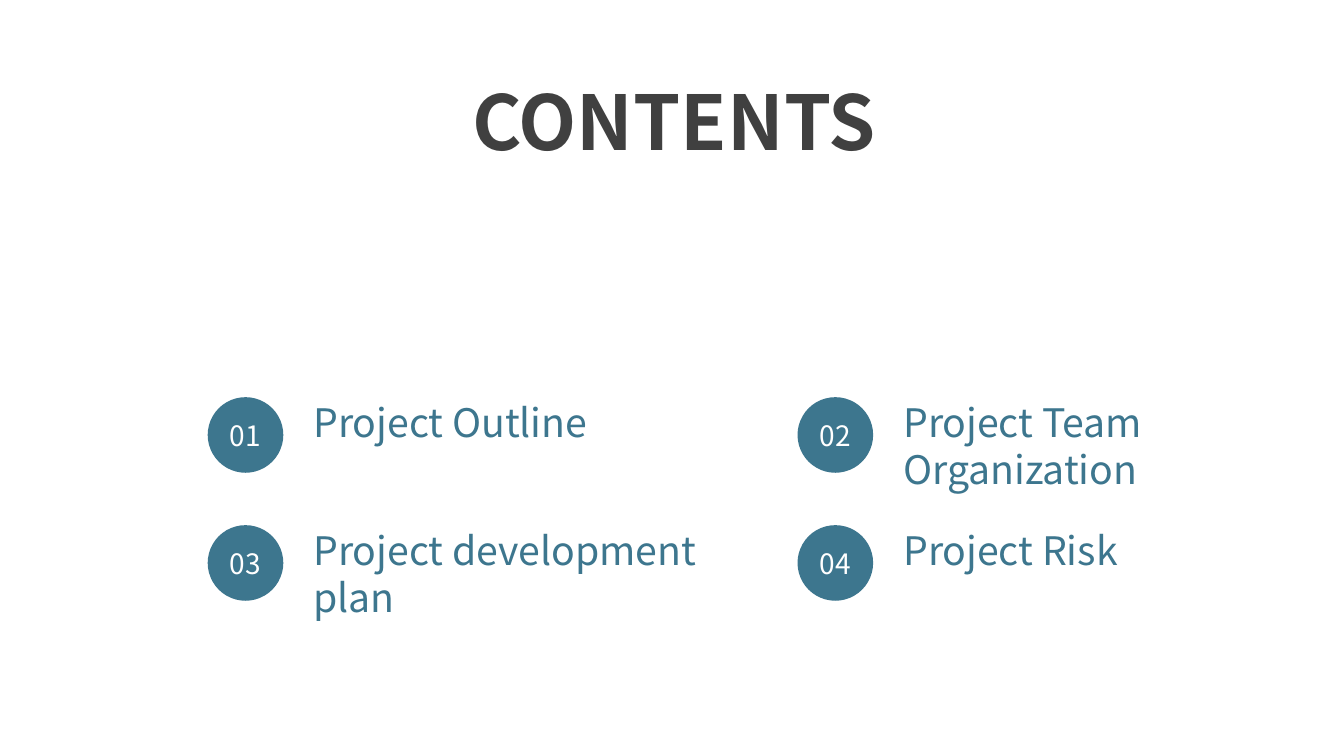
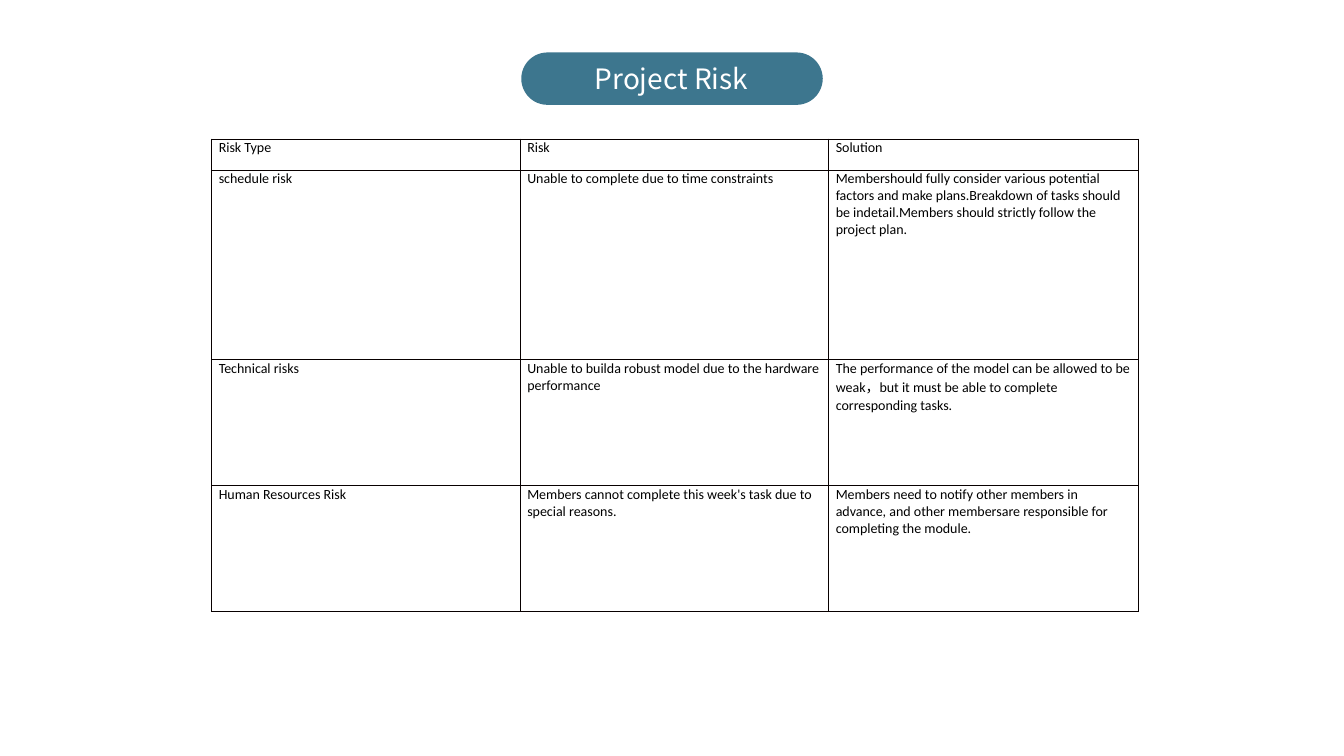
from lxml import etree
from pptx import Presentation
from pptx.dml.color import RGBColor
from pptx.enum.shapes import MSO_SHAPE
from pptx.enum.text import MSO_ANCHOR, MSO_AUTO_SIZE, PP_ALIGN
from pptx.oxml.ns import qn
from pptx.util import Inches, Pt

TEAL = RGBColor(0x3D, 0x76, 0x8E)
GREY = RGBColor(0x40, 0x40, 0x40)
WHITE = RGBColor(0xFF, 0xFF, 0xFF)
BLACK = RGBColor(0x00, 0x00, 0x00)
RULE = "080000"

OVAL, PILL = MSO_SHAPE.OVAL, MSO_SHAPE.ROUNDED_RECTANGLE
TOP, MIDDLE = MSO_ANCHOR.TOP, MSO_ANCHOR.MIDDLE
LEFT, CENTER = PP_ALIGN.LEFT, PP_ALIGN.CENTER
FIXED = MSO_AUTO_SIZE.NONE

SANS, BODY = "Noto Sans CJK SC", "Calibri"
HEAD = {"name": SANS, "size": Pt(54), "bold": True, "color": GREY}
ITEM = {"name": SANS, "size": Pt(28), "bold": False, "color": TEAL}
BADGE = {"name": SANS, "size": Pt(20), "bold": False, "color": WHITE}
CELL = {"name": BODY, "size": Pt(10), "bold": False, "color": BLACK}

TOPICS = [
    ("Project Outline", 3.75, 0.57),
    ("Project Team Organization", 4.12, 1.04),
    ("Project development plan", 4.52, 1.04),
    ("Project Risk", 3.35, 0.57),
]

RISKS = [
    ("Risk Type", "Risk", "Solution"),
    ("schedule risk",
     "Unable to complete due to time constraints",
     "Membershould fully consider various potential factors and make plans."
     "Breakdown of tasks should be indetail."
     "Members should strictly follow the project plan."),
    ("Technical risks",
     "Unable to builda robust model due to the hardware performance",
     "The performance of the model can be allowed to be weak，"
     "but it must be able to complete corresponding tasks."),
    ("Human Resources Risk",
     "Members cannot complete this week's task due to special reasons.",
     "Members need to notify other members in advance, "
     "and other membersare responsible for completing the module."),
]
WIDTHS = (3.06, 3.06, 3.07)
HEIGHTS = (0.31, 1.88, 1.25, 1.25)


def inches(box):
    return [Inches(n) for n in box]


def style(font, look):
    """Apply a dict of format values to a font."""
    for key, value in look.items():
        if key == "color":
            font.color.rgb = value
        else:
            setattr(font, key, value)


def write(frame, text, look, align=LEFT, anchor=TOP, pad=(0.1, 0.05)):
    side, edge = inches(pad)
    values = {
        "word_wrap": True, "auto_size": FIXED, "vertical_anchor": anchor,
        "margin_left": side, "margin_right": side,
        "margin_top": edge, "margin_bottom": edge,
    }
    for key, value in values.items():
        setattr(frame, key, value)
    line = frame.paragraphs[0]
    line.alignment = align
    run = line.add_run()
    run.text = text
    style(run.font, look)


def add_title(deck, text, box, look, **place):
    """Add a title-only slide and set its title."""
    slide = deck.slides.add_slide(deck.slide_layouts[5])
    title = slide.shapes.title
    title.left, title.top, title.width, title.height = inches(box)
    write(title.text_frame, text, look, CENTER, **place)
    return slide


def add_solid(slide, kind, box):
    shape = slide.shapes.add_shape(kind, *inches(box))
    shape.shadow.inherit = False
    shape.fill.solid()
    shape.fill.fore_color.rgb = TEAL
    shape.line.fill.background()
    return shape


def add_topic(slide, number, text, left, top, width, height):
    """Add a numbered disc with its label to the right."""
    disc = add_solid(slide, OVAL, (left, top, 0.75, 0.75))
    write(disc.text_frame, f"{number:02}", BADGE, CENTER, MIDDLE, (0, 0))
    label = slide.shapes.add_textbox(
        *inches((left + 0.95, top - 0.04, width, height)))
    write(label.text_frame, text, ITEM)


def set_borders(cell):
    props = cell._tc.get_or_add_tcPr()
    for spot, side in enumerate(("lnL", "lnR", "lnT", "lnB")):
        line = etree.Element(qn(f"a:{side}"), w=str(Pt(1)))
        fill = etree.SubElement(line, qn("a:solidFill"))
        etree.SubElement(fill, qn("a:srgbClr"), val=RULE)
        props.insert(spot, line)


def fill_cell(cell, text):
    cell.margin_left = cell.margin_right = Inches(0.07)
    cell.margin_top = cell.margin_bottom = 0
    cell.fill.background()
    set_borders(cell)
    run = cell.text_frame.paragraphs[0].add_run()
    run.text = text
    style(run.font, CELL)


def add_grid(slide, rows, left, top):
    frame = slide.shapes.add_table(
        len(rows), len(WIDTHS),
        *inches((left, top, sum(WIDTHS), sum(HEIGHTS))))
    table = frame.table
    table.first_row = table.horz_banding = False
    for column, width in zip(table.columns, WIDTHS):
        column.width = Inches(width)
    for row, height, texts in zip(table.rows, HEIGHTS, rows):
        row.height = Inches(height)
        for cell, text in zip(row.cells, texts):
            fill_cell(cell, text)


def add_contents(deck):
    slide = add_title(deck, "CONTENTS", (4.39, 0.69, 4.59, 1.01), HEAD)
    for spot, (text, width, height) in enumerate(TOPICS):
        row, column = divmod(spot, 2)
        add_topic(slide, spot + 1, text, 2.06 + column * 5.85,
                  3.94 + row * 1.27, width, height)


def add_risks(deck):
    slide = add_title(deck, "Project Risk", (4.87, 0.61, 3.58, 0.34), BADGE,
                      anchor=MIDDLE, pad=(0, 0))
    pill = add_solid(slide, PILL, (5.17, 0.52, 2.99, 0.52))
    pill.adjustments[0] = 0.5
    slide.shapes.title._element.addprevious(pill._element)
    add_grid(slide, RISKS, 2.1, 1.38)


def main():
    deck = Presentation()
    deck.slide_width, deck.slide_height = inches((13.33, 7.5))
    add_contents(deck)
    add_risks(deck)
    deck.save("out.pptx")


if __name__ == "__main__":
    main()
